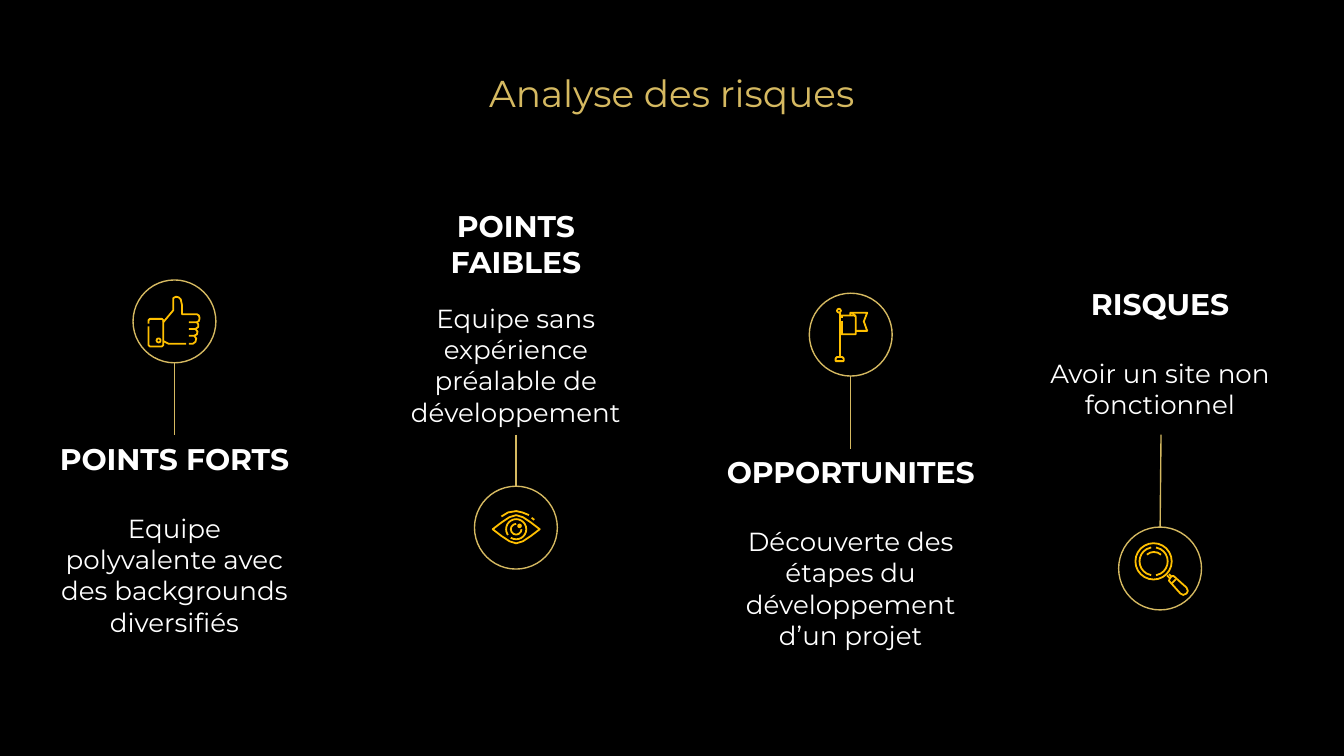
"""Build a four-column risk analysis slide with line icons."""
from dataclasses import dataclass
from typing import NamedTuple

from lxml.etree import SubElement
from pptx import Presentation
from pptx.dml.color import RGBColor
from pptx.enum.shapes import MSO_CONNECTOR as Link, MSO_SHAPE as Form
from pptx.enum.text import MSO_ANCHOR as Anchor, MSO_AUTO_SIZE as Fit, PP_ALIGN as Align
from pptx.oxml.ns import qn
from pptx.util import Pt

FONT = "Montserrat"
BLACK, WHITE, GOLD, AMBER = "000000", "FFFFFF", "D5B961", "FFC000"
RING = 44.4
GRID = 0.36


class Sketch(NamedTuple):
    lines: list


class Arc(NamedTuple):
    x: int
    y: int
    size: int
    start: int
    end: int


class Dot(NamedTuple):
    x: int
    y: int
    size: int
    solid: bool = False


@dataclass
class Column:
    head: str
    body: str
    mid: float
    head_top: float
    body_top: float
    height: float
    ring_top: float
    tip: float
    icon: list
    width: float = 144
    lean: float = 0


THUMB = [
    Sketch([
        [(23, 65), (23, 60), (25, 58), (43, 58), (45, 60), (45, 97),
         (43, 99), (25, 99), (23, 97), (23, 69)],
        [(79, 95), (53, 95), (45, 91)],
        [(45, 63), (60, 45), (60, 27), (64, 25), (68, 26), (71, 29), (73, 38),
         (73, 51), (95, 51), (98, 53), (99, 57), (98, 61), (95, 63), (83, 63)],
        [(95, 63), (97, 66), (97, 70), (93, 73), (83, 73)],
        [(93, 73), (96, 77), (95, 81), (91, 83), (83, 83)],
        [(91, 83), (94, 87), (93, 92), (89, 95), (83, 95)],
    ]),
    Dot(35, 87, 6),
]
EYE = [
    Sketch([[(27, 64), (40, 54), (52, 46), (62, 43), (72, 46), (84, 54), (97, 64),
             (84, 74), (72, 82), (62, 85), (52, 82), (40, 74), (27, 64)]]),
    Sketch([[(40, 45), (50, 39), (62, 37), (71, 39), (81, 43)]]),
    Sketch([[(85, 47), (89, 50)]]),
    Arc(47, 49, 30, 145, 122),
    Arc(54, 56, 16, 0, 270),
    Dot(65, 57, 4, True),
]
FLAG = [
    Sketch([
        [(44, 23), (46, 24), (47, 26), (46, 28), (44, 29), (42, 28), (41, 26),
         (42, 24), (44, 23)],
        [(45, 29), (45, 94)],
        [(41, 95), (49, 95), (51, 97), (51, 101), (39, 101), (39, 97), (41, 95)],
        [(45, 33), (67, 33), (69, 35), (69, 61), (45, 61)],
        [(49, 33), (49, 37)],
        [(49, 41), (49, 61)],
        [(61, 33), (61, 29), (86, 29), (81, 42), (86, 56), (69, 56)],
        [(63, 29), (69, 34)],
    ]),
]
GLASS = [
    Sketch([[(42, 41), (47, 38), (52, 37), (58, 38), (63, 41)]]),
    Sketch([
        [(72, 72), (76, 76)],
        [(75, 70), (78, 73)],
        [(75, 80), (76, 77), (79, 73), (82, 73), (101, 90), (103, 95),
         (101, 99), (96, 101), (92, 99), (75, 80)],
        [(79, 84), (85, 78)],
    ]),
    Dot(25, 24, 54),
    Arc(31, 30, 42, 280, 80),
    Arc(31, 30, 42, 100, 260),
]
COLUMNS = [
    Column("POINTS FORTS", "Equipe polyvalente avec des backgrounds diversifiés",
           93.5, 217.7, 267.1, 68.4, 150, 232.8, THUMB),
    Column("POINTS FAIBLES", "Equipe sans expérience préalable de développement",
           276.4, 112.3, 154.6, 78.5, 260.5, 232.9, EYE),
    Column("OPPORTUNITES", "Découverte des étapes du développement d’un projet",
           455.8, 224.6, 274.2, 102.2, 157.1, 240.5, FLAG, width=156),
    Column("RISQUES", "Avoir un site non fonctionnel",
           621.5, 134.6, 184.3, 78.5, 282.4, 232.9, GLASS, lean=0.5),
]


def tint(code: str) -> RGBColor:
    return RGBColor.from_string(code)


def write(box, text: str, size: float, color: str, bold: bool, anchor) -> None:
    frame = box.text_frame
    frame.word_wrap = True
    frame.auto_size = Fit.NONE
    frame.vertical_anchor = anchor
    frame.margin_left = frame.margin_right = Pt(7.2)
    frame.margin_top = frame.margin_bottom = Pt(7.2)
    para = frame.paragraphs[0]
    para.alignment = Align.CENTER
    run = para.add_run()
    run.text = text
    font = run.font
    font.name, font.size, font.bold = FONT, Pt(size), bold
    font.color.rgb = tint(color)


def outline(shape, color: str, width: float, solid: bool = False) -> None:
    shape.shadow.inherit = False
    if solid:
        shape.fill.solid()
        shape.fill.fore_color.rgb = tint(color)
    else:
        shape.fill.background()
    shape.line.color.rgb = tint(color)
    shape.line.width = Pt(width)


def rule(shapes, start: tuple, end: tuple):
    line = shapes.add_connector(Link.STRAIGHT, *(Pt(n) for n in start + end))
    line.line.color.rgb = tint(GOLD)
    line.line.width = Pt(0.75)
    SubElement(line._element.spPr, qn("a:effectLst"))
    return line


def draw(shapes, part, left: float, top: float) -> None:
    if isinstance(part, Sketch):
        first, *rest = part.lines
        pen = shapes.build_freeform(*first[0], scale=Pt(GRID))
        pen.add_line_segments(first[1:], close=False)
        for line in rest:
            pen.move_to(*line[0])
            pen.add_line_segments(line[1:], close=False)
        shape = pen.convert_to_shape(Pt(left), Pt(top))
    else:
        form = Form.ARC if isinstance(part, Arc) else Form.OVAL
        side = Pt(part.size * GRID)
        shape = shapes.add_shape(form, Pt(left + part.x * GRID),
                                 Pt(top + part.y * GRID), side, side)
        if isinstance(part, Arc):
            for i, angle in enumerate((part.start, part.end)):
                shape.adjustments[i] = angle * 0.6
    outline(shape, AMBER, 0.95, isinstance(part, Dot) and part.solid)


def place(shapes, col: Column) -> None:
    head = shapes.add_textbox(Pt(col.mid - col.width / 2), Pt(col.head_top),
                              Pt(col.width), Pt(44.64))
    write(head, col.head, 16, WHITE, True, Anchor.BOTTOM)
    body = shapes.add_textbox(Pt(col.mid - 72), Pt(col.body_top), Pt(144), Pt(col.height))
    write(body, col.body, 14, WHITE, False, Anchor.TOP)
    left = col.mid - RING / 2
    ring = shapes.add_shape(Form.OVAL, Pt(left), Pt(col.ring_top), Pt(RING), Pt(RING))
    outline(ring, GOLD, 0.75)
    tip = (col.mid + col.lean, col.tip)
    if col.tip < col.ring_top:
        stem = rule(shapes, tip, (col.mid, col.ring_top))
        stem.end_connect(ring, 0)
    else:
        rule(shapes, (col.mid, col.ring_top + RING), tip)
    icon = shapes.add_group_shape().shapes if len(col.icon) > 1 else shapes
    for part in col.icon:
        draw(icon, part, left, col.ring_top)


def main() -> None:
    deck = Presentation()
    deck.slide_width, deck.slide_height = Pt(720), Pt(405)
    slide = deck.slides.add_slide(deck.slide_layouts[5])
    slide.background.fill.solid()
    slide.background.fill.fore_color.rgb = tint(BLACK)
    title = slide.shapes.title
    title.left, title.top, title.width, title.height = Pt(249.4), Pt(28.4), Pt(221), Pt(40.3)
    write(title, "Analyse des risques", 20, GOLD, False, Anchor.BOTTOM)
    for col in COLUMNS:
        place(slide.shapes, col)
    deck.save("out.pptx")


if __name__ == "__main__":
    main()
